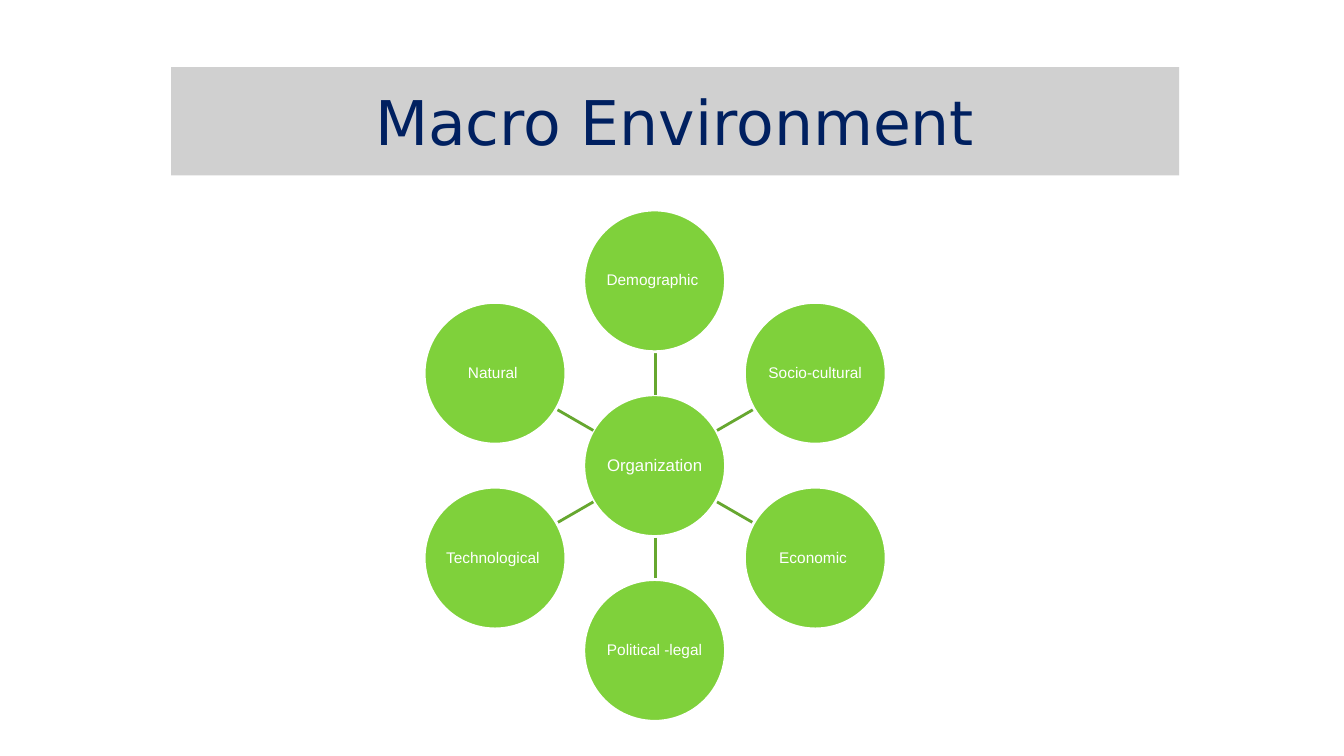
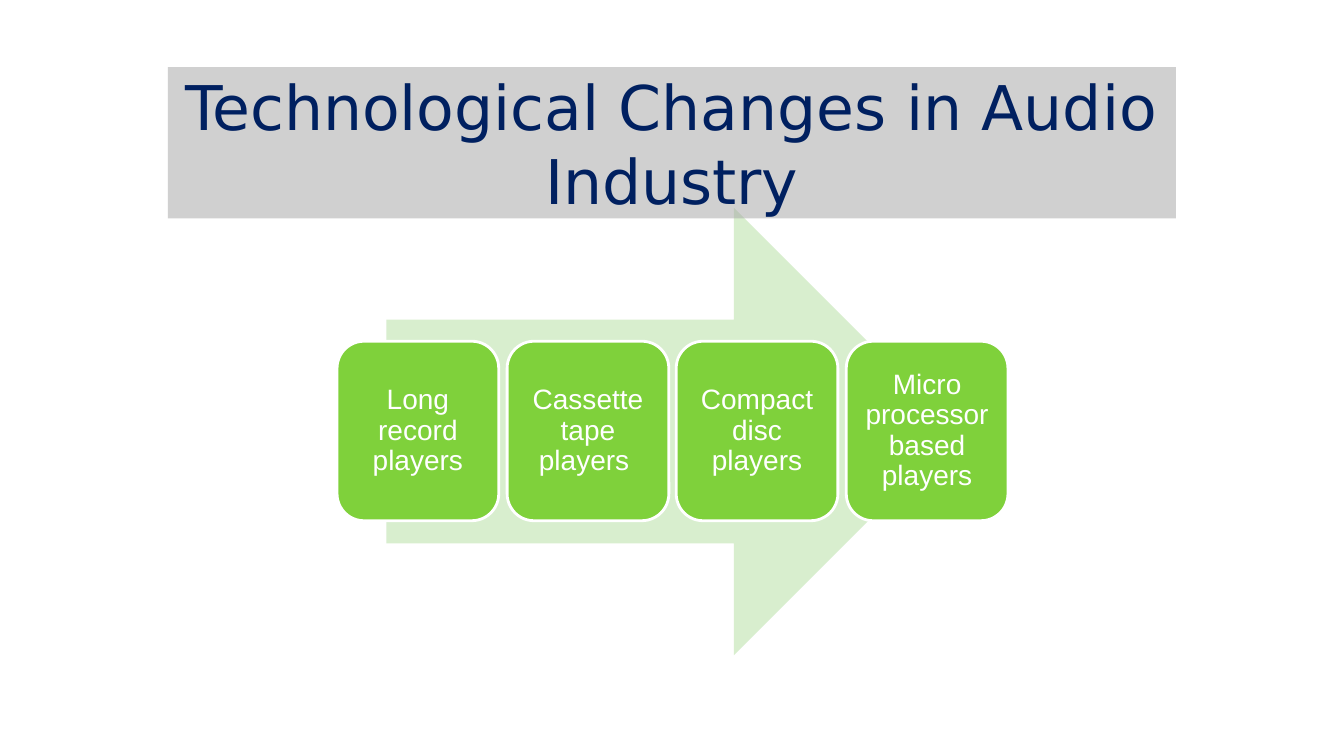
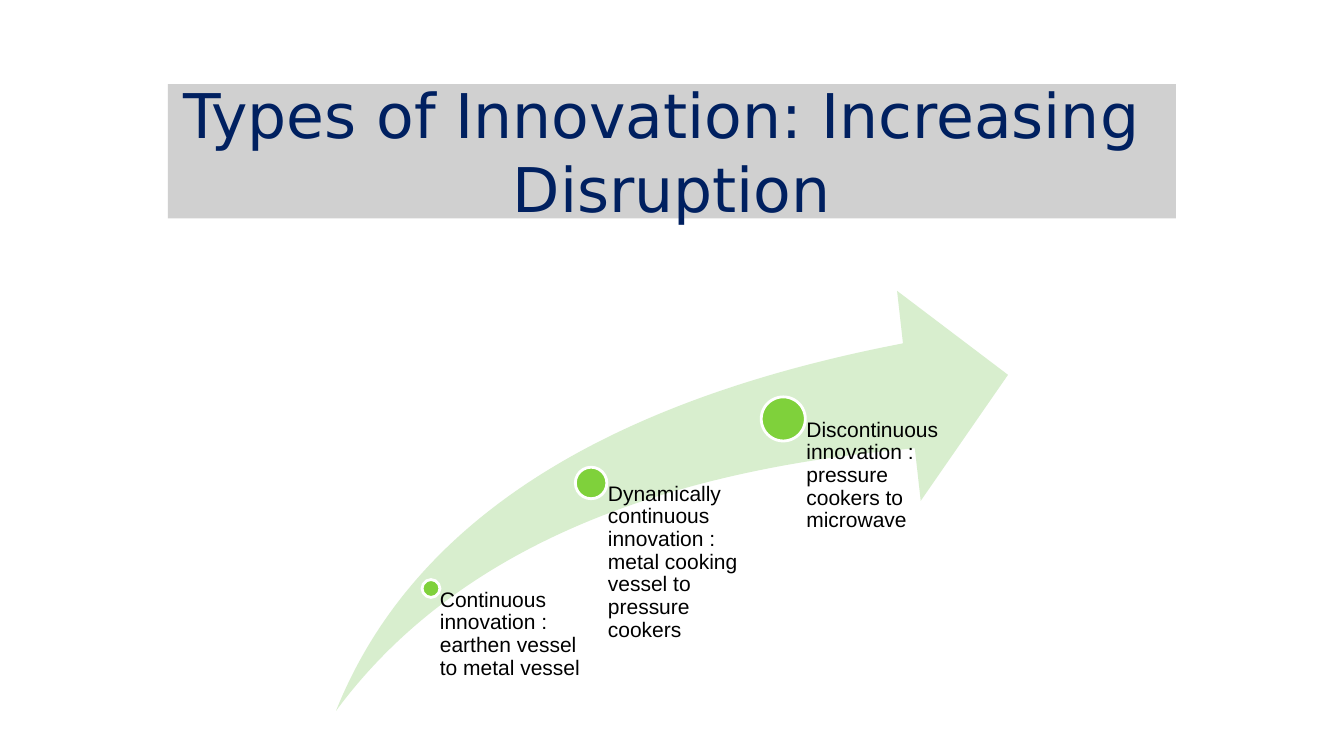
from dataclasses import dataclass
from math import cos, radians, sin

from lxml.etree import SubElement
from pptx import Presentation
from pptx.dml.color import RGBColor
from pptx.enum.shapes import MSO_CONNECTOR, MSO_SHAPE
from pptx.enum.text import MSO_ANCHOR, PP_ALIGN
from pptx.oxml.ns import qn
from pptx.shapes.base import BaseShape
from pptx.slide import Slide
from pptx.util import Pt

SCALE = 9525
HUES = {
    "white": "FFFFFF",
    "black": "000000",
    "green": "7FD13B",
    "spoke": "66A72F",
    "pale": "D8EECE",
    "band": "A6A6A6",
    "navy": "002060",
}


@dataclass(frozen=True)
class Box:
    left: int
    top: int
    width: int
    height: int


@dataclass(frozen=True)
class Spot:
    x: int
    y: int
    size: int
    width: int
    text: str


def px(count: float) -> int:
    return round(count * SCALE)


def hue(name: str) -> RGBColor:
    return RGBColor.from_string(HUES[name])


def place(box: Box) -> tuple[int, int, int, int]:
    return px(box.left), px(box.top), px(box.width), px(box.height)


def round_box(x: float, y: float, size: int) -> Box:
    return Box(round(x - size / 2), round(y - size / 2), size, size)


def write(shape: BaseShape, text: str, *, size: int, font: str = "Arial",
          color: str = "white", align: PP_ALIGN = PP_ALIGN.CENTER,
          anchor: MSO_ANCHOR = MSO_ANCHOR.MIDDLE, space: float = 0.9,
          pads: tuple[int, int, int, int] = (0, 0, 0, 0)) -> None:
    frame = shape.text_frame
    frame.word_wrap = True
    frame.vertical_anchor = anchor
    frame.margin_left, frame.margin_top, frame.margin_right, frame.margin_bottom = map(px, pads)
    frame.text = text
    for para in frame.paragraphs:
        para.alignment = align
        para.line_spacing = space
        para.font.size = Pt(size)
        para.font.name = font
        para.font.color.rgb = hue(color)


def draw(slide: Slide, kind: MSO_SHAPE, box: Box, fill: str, edge: str = "") -> BaseShape:
    shape = slide.shapes.add_shape(kind, *place(box))
    shape.shadow.inherit = False
    shape.fill.solid()
    shape.fill.fore_color.rgb = hue(fill)
    if edge:
        shape.line.color.rgb = hue(edge)
        shape.line.width = Pt(2)
    else:
        shape.line.fill.background()
    return shape


def link(slide: Slide, start: tuple[float, float], end: tuple[float, float]) -> None:
    line = slide.shapes.add_connector(MSO_CONNECTOR.STRAIGHT, *map(px, start + end))
    line.line.color.rgb = hue("spoke")
    line.line.width = Pt(2)
    SubElement(line._element.spPr, qn("a:effectLst"))


def title(slide: Slide, box: Box, text: str) -> None:
    band = draw(slide, MSO_SHAPE.RECTANGLE, box, "band")
    tint = band._element.spPr.find(".//" + qn("a:srgbClr"))
    SubElement(tint, qn("a:alpha"), val="52000")
    write(band, text, size=44, font="DejaVu Sans", color="navy", space=1.0,
          pads=(10, 5, 10, 5))


def macro(slide: Slide) -> None:
    x, y, size, reach = 624, 444, 135, 176
    near, far = 68, 108
    names = ("Demographic ", "Socio-cultural", "Economic ",
             "Political -legal ", "Technological ", "Natural ")

    def disc(at: tuple[float, float], text: str, points: int) -> None:
        shape = draw(slide, MSO_SHAPE.OVAL, round_box(*at, size), "green", "white")
        write(shape, text, size=points, pads=(1, 1, 1, 1))

    disc((x, y), "Organization ", 12)
    for step, name in enumerate(names):
        turn = radians(step * 360 / len(names) - 90)
        start, end, hub = ((x + r * cos(turn), y + r * sin(turn))
                           for r in (near, far, reach))
        link(slide, start, end)
        disc(hub, name, 11)
    title(slide, Box(163, 64, 960, 103), "Macro Environment")


def audio(slide: Slide) -> None:
    first, last, width = 321, 806, 154
    names = ("Long record players", "Cassette tape players ",
             "Compact disc players", "Micro processor based players")
    draw(slide, MSO_SHAPE.RIGHT_ARROW, Box(368, 198, 544, 426), "pale")
    for step, name in enumerate(names):
        left = first + round(step * (last - first) / (len(names) - 1))
        card = draw(slide, MSO_SHAPE.ROUNDED_RECTANGLE, Box(left, 325, width, 171),
                    "green", "white")
        write(card, name, size=20, pads=(7, 7, 7, 7))
    title(slide, Box(160, 64, 960, 144), "Technological Changes in Audio Industry")


def change(slide: Slide) -> None:
    base = 677
    spots = (
        Spot(410, 561, 17, 149, "Continuous innovation : earthen vessel to metal vessel"),
        Spot(563, 460, 30, 154, "Dynamically continuous innovation : "
                                "metal cooking vessel to pressure cookers"),
        Spot(746, 399, 42, 154, "Discontinuous innovation : pressure cookers to microwave"),
    )
    swoosh = draw(slide, MSO_SHAPE.SWOOSH_ARROW, Box(320, 277, 640, 400), "pale")
    swoosh.adjustments[0] = swoosh.adjustments[1] = 0.25
    for spot in spots:
        draw(slide, MSO_SHAPE.OVAL, round_box(spot.x, spot.y, spot.size), "green", "white")
        area = Box(spot.x, spot.y, spot.width, base - spot.y)
        label = slide.shapes.add_textbox(*place(area))
        write(label, spot.text, size=15, color="black", align=PP_ALIGN.LEFT,
              anchor=MSO_ANCHOR.TOP, pads=(spot.size // 2 + 1, 0, 0, 0))
    title(slide, Box(160, 80, 960, 128), "Types of Innovation: Increasing \nDisruption")


def main() -> None:
    """Build the three slides and save the deck."""
    deck = Presentation()
    deck.slide_width, deck.slide_height = px(1280), px(720)
    for build in (macro, audio, change):
        build(deck.slides.add_slide(deck.slide_layouts[6]))
    deck.save("out.pptx")


if __name__ == "__main__":
    main()
